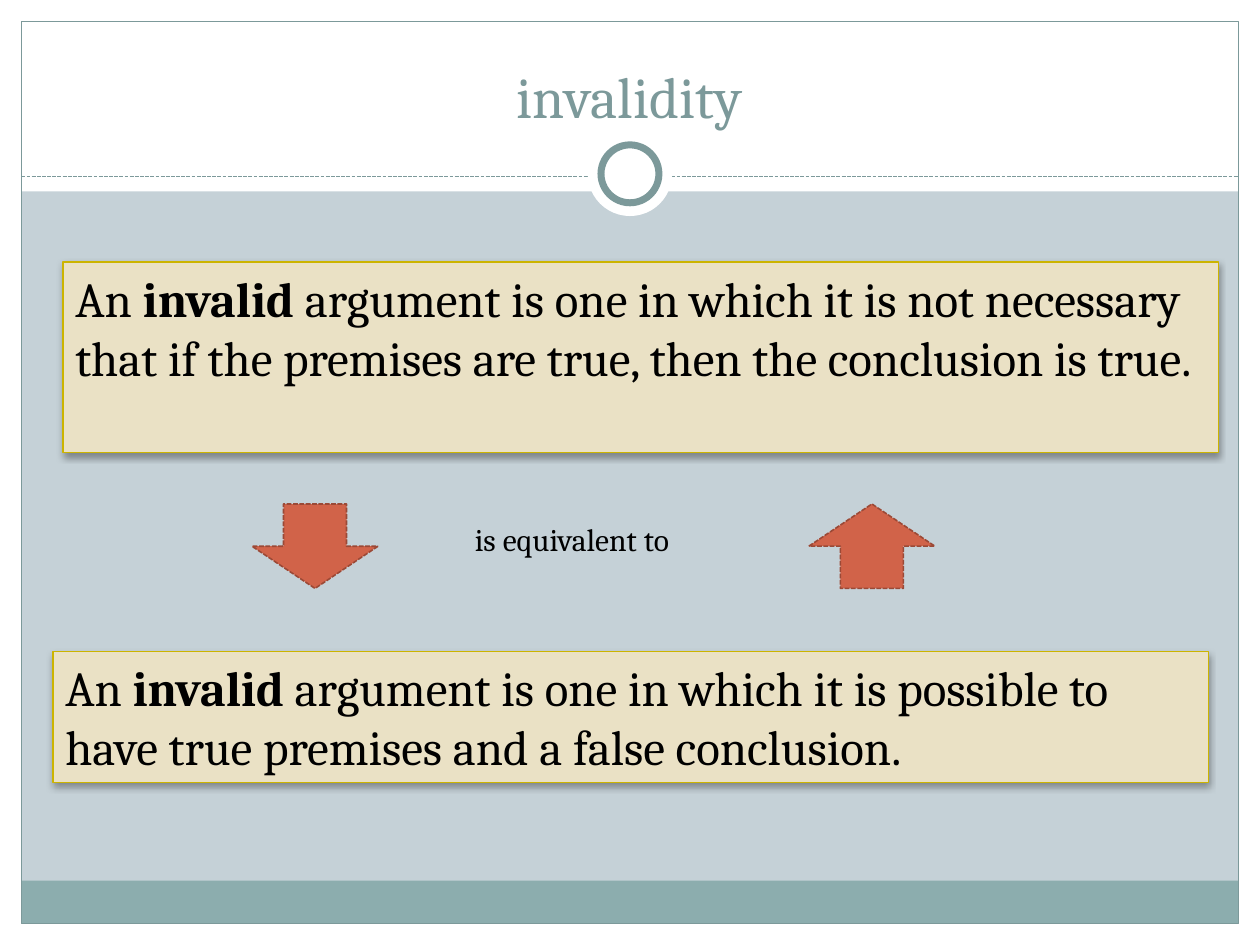
from lxml import etree
from pptx import Presentation
from pptx.dml.color import RGBColor
from pptx.enum.dml import MSO_LINE
from pptx.enum.shapes import MSO_CONNECTOR, MSO_SHAPE
from pptx.enum.text import MSO_ANCHOR, PP_ALIGN
from pptx.oxml import parse_xml
from pptx.oxml.ns import nsdecls, qn
from pptx.util import Inches, Pt

WHITE, BLACK, TEAL, BAND, BACK = "FFFFFF", "000000", "7C999A", "8CADAE", "C5D1D7"
CREAM, GOLD, RED, BROWN = "EAE1C5", "CCB400", "D16349", "9B4936"
W, H, EDGE = 10, 7.5, 0.17


def rgb(value):
    """Turn a hex string into a colour."""
    return RGBColor.from_string(value)


class Deck:
    """Holds the style and the current slide."""

    font = "Cambria"

    def __init__(self, prs):
        """Add a blank slide with the background colour."""
        self.s = prs.slides.add_slide(prs.slide_layouts[6])
        fill = self.s.background.fill
        fill.solid()
        fill.fore_color.rgb = rgb(BACK)

    def outline(self, line, color, width, dash=None):
        """Style a line or an outline."""
        line.color.rgb = rgb(color)
        line.width = Pt(width)
        if dash:
            line.dash_style = dash

    def shape(self, kind, box, fill=None, line=None, rotation=0):
        """Add a preset shape; line is (colour, width, dash)."""
        sp = self.s.shapes.add_shape(kind, *map(Inches, box))
        sp.shadow.inherit = False
        sp.rotation = rotation
        if fill:
            sp.fill.solid()
            sp.fill.fore_color.rgb = rgb(fill)
        else:
            sp.fill.background()
        if line:
            self.outline(sp.line, *line)
        else:
            sp.line.fill.background()
        return sp

    def rule(self, start, end, *line):
        """Add a straight line."""
        cx = self.s.shapes.add_connector(
            MSO_CONNECTOR.STRAIGHT, *map(Inches, start + end))
        self.outline(cx.line, *line)
        etree.SubElement(cx._element.spPr, qn("a:effectLst"))

    def put_runs(self, sp, runs, size, color=BLACK, align=PP_ALIGN.LEFT,
                 anchor=MSO_ANCHOR.TOP):
        """Fill a shape with one paragraph of (text, bold) runs."""
        tf = sp.text_frame
        tf.word_wrap = True
        tf.vertical_anchor = anchor
        p = tf.paragraphs[0]
        p.alignment = align
        for text, bold in runs:
            r = p.add_run()
            r.text = text
            r.font.color.rgb = rgb(color)
            style = {"name": self.font, "size": Pt(size), "bold": bold}
            for name, value in style.items():
                setattr(r.font, name, value)

    def text(self, box, text, size, **style):
        """Add a text box."""
        sp = self.s.shapes.add_textbox(*map(Inches, box))
        self.put_runs(sp, [(text, False)], size, **style)

    def definition(self, box, ending):
        """Add a shadowed card that defines an invalid argument."""
        sp = self.shape(MSO_SHAPE.RECTANGLE, box, CREAM, (GOLD, 0.75))
        effects = sp._element.spPr.find(qn("a:effectLst"))
        effects.append(parse_xml(
            f'<a:outerShdw {nsdecls("a")} blurRad="{Pt(4)}" dist="{Pt(2)}" '
            f'dir="5400000" rotWithShape="0"><a:srgbClr val="{BLACK}">'
            '<a:alpha val="35000"/></a:srgbClr></a:outerShdw>'))
        self.put_runs(sp, [("An ", False), ("invalid ", True), (ending, False)], 28)


prs = Presentation()
prs.slide_width, prs.slide_height = Inches(W), Inches(H)
deck = Deck(prs)

# Frame and header
for box, color in [
    ((0, H - EDGE, W, EDGE), WHITE),
    ((0, 0, W, 1.52), WHITE),
    ((0, 0, EDGE, H), WHITE),
    ((W - EDGE, 0, EDGE, H), WHITE),
    ((EDGE, 6.99, W - 2 * EDGE, 0.34), BAND),
]:
    deck.shape(MSO_SHAPE.RECTANGLE, box, color)
deck.shape(MSO_SHAPE.RECTANGLE, (EDGE, EDGE, W - 2 * EDGE, H - 2 * EDGE),
           line=(TEAL, 0.75))
deck.rule((EDGE, 1.4), (W - EDGE, 1.4), TEAL, 0.75, MSO_LINE.SQUARE_DOT)
for size, line in [(0.67, None), (0.46, (TEAL, 4))]:
    deck.shape(MSO_SHAPE.OVAL, (W / 2 - size / 2, 1.38 - size / 2, size, size),
               WHITE, line)
deck.text((0.33, 0.25, 9.33, 0.83), "invalidity", 33, color=TEAL,
          align=PP_ALIGN.CENTER, anchor=MSO_ANCHOR.BOTTOM)

# Two equivalent definitions
deck.definition((0.5, 2.08, 9.17, 1.51),
                "argument is one in which it is not necessary that if the "
                "premises are true, then the conclusion is true. ")
for left, rotation in [(6.42, 0), (2, 180)]:
    deck.shape(MSO_SHAPE.UP_ARROW, (left, 4, 1, 0.67), RED,
               (BROWN, 0.9, MSO_LINE.SQUARE_DOT), rotation)
deck.definition((0.42, 5.17, 9.17, 1.04),
                "argument is one in which it is possible to have true "
                "premises and a false conclusion.")
deck.text((3.67, 4.08, 2.67, 0.4), "is equivalent to", 18)

prs.save("out.pptx")
